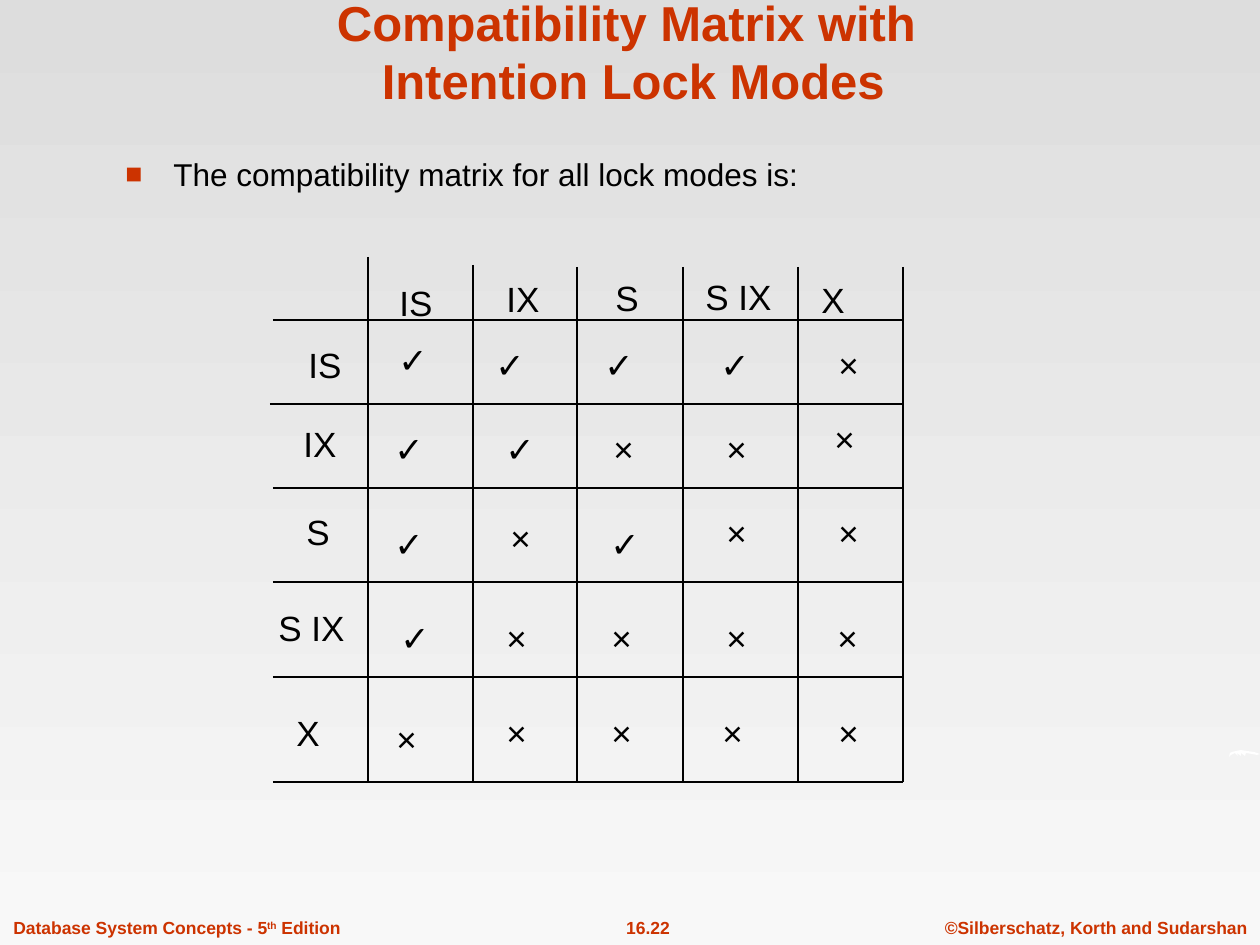
from dataclasses import dataclass

from pptx import Presentation
from pptx.dml.color import RGBColor as Color
from pptx.enum.shapes import MSO_CONNECTOR as Connector
from pptx.enum.text import MSO_ANCHOR as Anchor, MSO_AUTO_SIZE as AutoSize, PP_ALIGN as Align
from pptx.oxml.ns import qn
from pptx.oxml.xmlchemy import OxmlElement
from pptx.util import Pt

EMU_PER_PX = 914400 / 126


@dataclass(frozen=True)
class Theme:
    """Colours and type styles of the slide."""
    accent = Color.from_string("CC3300")
    ink = Color.from_string("000000")
    white = Color.from_string("FFFFFF")
    sky = (Color.from_string("DDDDDD"), Color.from_string("F8F8F8"))
    font = "Arial"
    title = {"size": Pt(28), "bold": True, "color": accent}
    body = {"size": Pt(18), "bold": False, "color": ink}
    cell = {"size": Pt(20), "bold": False, "color": ink}
    footer = {"size": Pt(10), "bold": True, "color": accent}


THEME = Theme()
LABEL_WIDTHS = {"IS": 58, "IX": 58, "S": 48, "S IX": 96, "X": 58, "✓": 54, "×": 53}
CELL_HEIGHT = 55
GRID_RIGHT, GRID_BOTTOM = 903, 782
COLUMN_TOPS = {368: 257, 473: 265, 577: 267, 683: 267, 798: 267, 903: 267}
ROW_LEFTS = {320: 273, 404: 270, 488: 273, 582: 273, 677: 273, 782: 273}
MATRIX = [
    [("IS", 387, 275), ("IX", 494, 271), ("S", 603, 270), ("S IX", 693, 269), ("X", 809, 272)],
    [("IS", 296, 337), ("✓", 386, 332), ("✓", 483, 337), ("✓", 592, 337), ("✓", 708, 337), ("×", 826, 337)],
    [("IX", 291, 416), ("✓", 382, 421), ("✓", 493, 421), ("×", 601, 421), ("×", 714, 421), ("×", 822, 411)],
    [("S", 294, 504), ("✓", 382, 516), ("×", 498, 510), ("✓", 598, 516), ("×", 714, 505), ("×", 826, 505)],
    [("S IX", 266, 600), ("✓", 388, 610), ("×", 494, 610), ("×", 599, 610), ("×", 714, 610), ("×", 825, 610)],
    [("X", 284, 705), ("×", 384, 711), ("×", 494, 705), ("×", 599, 705), ("×", 710, 705), ("×", 826, 705)],
]
SWOOSH = [
    (1229, 757), (1230, 753), (1232, 752), (1236, 751), (1241, 750), (1247, 751),
    (1254, 752), (1260, 754), (1257, 755), (1252, 754), (1246, 753), (1245, 756),
    (1241, 753), (1241, 756), (1237, 753), (1238, 756), (1235, 753), (1231, 755),
]


def px(*lengths):
    """Turn pixel lengths into EMU."""
    return [round(length * EMU_PER_PX) for length in lengths]


def set_attributes(target, values):
    """Set every attribute named in a dict of format values."""
    for name, value in values.items():
        setattr(target, name, value)


def add_run(paragraph, text, style, baseline=None):
    """Add one styled run, raised by an optional baseline."""
    run = paragraph.add_run()
    run.text = text
    set_attributes(run.font, {"name": THEME.font, "size": style["size"], "bold": style["bold"]})
    run.font.color.rgb = style["color"]
    if baseline:
        run.font._element.set("baseline", str(baseline))


def add_text(shapes, box, text, style, frame_format=None, paragraph_format=None):
    """Add a text box and return its paragraph."""
    frame = shapes.add_textbox(*px(*box)).text_frame
    set_attributes(frame, frame_format or {"word_wrap": False, "auto_size": AutoSize.SHAPE_TO_FIT_TEXT})
    paragraph = frame.paragraphs[0]
    set_attributes(paragraph, paragraph_format or {})
    add_run(paragraph, text, style)
    return paragraph


def add_bullet(paragraph, indent):
    """Give a paragraph a square accent bullet with a hanging indent."""
    properties = paragraph._p.get_or_add_pPr()
    properties.set("marL", str(indent))
    properties.set("indent", str(-indent))
    colour = OxmlElement("a:buClr")
    tint = OxmlElement("a:srgbClr")
    tint.set("val", str(THEME.accent))
    colour.append(tint)
    properties.append(colour)
    for tag, name, value in (
        ("a:buSzPct", "val", "90000"), ("a:buFont", "typeface", THEME.font), ("a:buChar", "char", "■")
    ):
        element = OxmlElement(tag)
        element.set(name, value)
        properties.append(element)


def add_rule(shapes, *ends):
    """Add one thin grid line."""
    line = shapes.add_connector(Connector.STRAIGHT, *px(*ends))
    line.line.color.rgb = THEME.ink
    line.line.width = Pt(0.75)
    line._element.find(qn("p:spPr")).append(OxmlElement("a:effectLst"))


def add_background(slide):
    """Fill the background with a vertical gradient."""
    fill = slide.background.fill
    fill.gradient()
    fill.gradient_angle = 270
    for stop, colour, position in zip(fill.gradient_stops, THEME.sky, (0, 1)):
        stop.color.rgb = colour
        stop.position = position


def add_swoosh(shapes):
    """Add the small white stroke at the right edge."""
    builder = shapes.build_freeform(*SWOOSH[0], scale=EMU_PER_PX)
    builder.add_line_segments(SWOOSH[1:], close=True)
    shape = builder.convert_to_shape()
    shape.shadow.inherit = False
    shape.fill.solid()
    shape.fill.fore_color.rgb = THEME.white
    shape.line.fill.background()


def add_footer(shapes):
    """Add the credit, the slide number and the book title."""
    centred = {"alignment": Align.CENTER, "space_before": Pt(6.2)}
    add_text(shapes, (932, 911, 328, 34), "©Silberschatz, Korth and Sudarshan", THEME.footer, None, centred)
    add_text(shapes, (581, 911, 134, 34), "16.22", THEME.footer, None, centred)
    book = add_text(shapes, (1, 911, 352, 34), "Database System Concepts - 5", THEME.footer,
                    None, {"space_before": Pt(6.2)})
    add_run(book, "th", THEME.footer, 30000)
    add_run(book, " Edition", THEME.footer)


def add_heading(shapes):
    """Add the two-line title and the bulleted sentence."""
    title = add_text(shapes, (23, 32, 1207, 84), "Compatibility Matrix with", THEME.title,
                     {"word_wrap": True, "vertical_anchor": Anchor.BOTTOM}, {"alignment": Align.CENTER})
    title.add_line_break()
    add_run(title, " Intention Lock Modes", THEME.title)
    body = add_text(shapes, (113, 149, 1081, 609), "The compatibility matrix for all lock modes is:",
                    THEME.body, {"word_wrap": True}, {"space_before": Pt(7.9)})
    add_bullet(body, *px(48))


def add_matrix(shapes):
    """Add the grid lines, lock mode labels and marks as one group."""
    group = shapes.add_group_shape().shapes
    for x, top in COLUMN_TOPS.items():
        add_rule(group, x, top, x, GRID_BOTTOM)
    for y, left in ROW_LEFTS.items():
        add_rule(group, left, y, GRID_RIGHT, y)
    for row in MATRIX:
        for text, left, top in row:
            add_text(group, (left, top, LABEL_WIDTHS[text], CELL_HEIGHT), text, THEME.cell)


def main():
    """Build the slide and save it."""
    presentation = Presentation()
    presentation.slide_width, presentation.slide_height = px(1260, 945)
    slide = presentation.slides.add_slide(presentation.slide_layouts[6])
    add_background(slide)
    add_footer(slide.shapes)
    add_swoosh(slide.shapes)
    add_heading(slide.shapes)
    add_matrix(slide.shapes)
    presentation.save("out.pptx")


if __name__ == "__main__":
    main()
